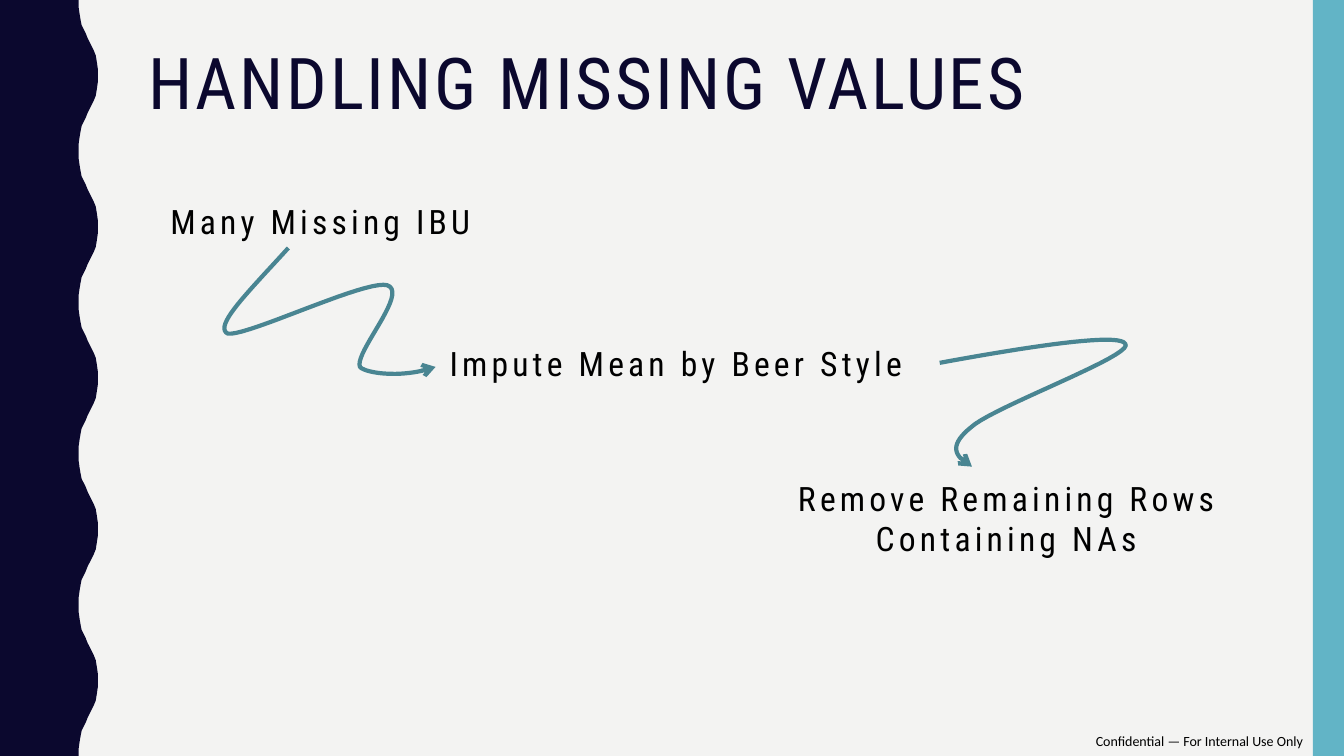
from lxml import etree
from pptx import Presentation
from pptx.dml.color import RGBColor
from pptx.enum.shapes import MSO_SHAPE
from pptx.enum.text import MSO_ANCHOR, MSO_AUTO_SIZE, PP_ALIGN
from pptx.oxml.ns import qn
from pptx.util import Inches, Pt

RECTANGLE = MSO_SHAPE.RECTANGLE
TOP = MSO_ANCHOR.TOP
FIT_SHAPE = MSO_AUTO_SIZE.SHAPE_TO_FIT_TEXT
LEFT, CENTER, RIGHT = PP_ALIGN.LEFT, PP_ALIGN.CENTER, PP_ALIGN.RIGHT

NAVY, SKY, TEAL, BLACK, PAPER = "0B082E", "62B4C6", "498592", "000000", "F3F3F2"
HEADING_FONT, NOTICE_FONT = "Roboto Condensed", "Calibri"


def color(hex_code):
    return RGBColor.from_string(hex_code)


def add_text(para, text, size, font, hex_code, spacing):
    span = para.add_run()
    span.text = text
    span.font.size = Pt(size)
    span.font.name = font
    span.font.color.rgb = color(hex_code)
    if spacing:
        span.font._element.set("spc", str(spacing * 100))


deck = Presentation()
deck.slide_width, deck.slide_height = Inches(13.33), Inches(7.5)
page = deck.slides.add_slide(deck.slide_layouts[5])
page.background.fill.solid()
page.background.fill.fore_color.rgb = color(PAPER)

# Wavy left border: one half wave, mirrored and repeated every 1.5 inches
half_wave = [(0.78, 0), (0.78, 0.07), (0.79, 0.14), (0.8, 0.2), (0.81, 0.25),
             (0.83, 0.29), (0.85, 0.33), (0.87, 0.38), (0.89, 0.42), (0.91, 0.46),
             (0.93, 0.5), (0.95, 0.55), (0.96, 0.61), (0.97, 0.68), (0.97, 0.75)]
full_wave = half_wave + [(x, 1.5 - y) for x, y in reversed(half_wave[:-1])]
edge = [(x, y + 1.5 * wave) for wave in range(5) for x, y in full_wave]
builder = page.shapes.build_freeform(0, 0)
builder.add_line_segments([(Inches(x), Inches(y)) for x, y in edge + [(0, 7.5)]])
border = builder.convert_to_shape()

# Right strip
strip = page.shapes.add_shape(RECTANGLE, Inches(13.02), 0, Inches(0.31), Inches(7.5))

for panel, fill in ((border, NAVY), (strip, SKY)):
    panel.shadow.inherit = False
    panel.fill.solid()
    panel.fill.fore_color.rgb = color(fill)
    panel.line.fill.background()

# Title
title = page.shapes.title
title.left, title.top = Inches(1.37), Inches(0.42)
title.width, title.height = Inches(11.13), Inches(1.63)
title.text_frame.vertical_anchor = TOP
title.text_frame.word_wrap = True
para = title.text_frame.paragraphs[0]
para.alignment = LEFT
para.line_spacing = 0.9
add_text(para, "HANDLING MISSING VALUES", 51, HEADING_FONT, NAVY, 2)

# Step labels and confidentiality notice
labels = [
    (1.59, 1.94, 3.29, 0.5, LEFT, 24, HEADING_FONT, 3, ["Many Missing IBU"]),
    (4.36, 3.35, 4.91, 0.5, LEFT, 24, HEADING_FONT, 3, ["Impute Mean by Beer Style"]),
    (7.71, 4.69, 4.54, 0.91, CENTER, 24, HEADING_FONT, 3,
     ["Remove Remaining Rows", "Containing NAs"]),
    (10.57, 7.22, 2.45, 0.28, RIGHT, 10, NOTICE_FONT, 0,
     ["Confidential — For Internal Use Only"]),
]
for left, top, width, height, align, size, font, spacing, lines in labels:
    box = page.shapes.add_textbox(Inches(left), Inches(top), Inches(width), Inches(height))
    frame = box.text_frame
    frame.word_wrap = False
    frame.auto_size = FIT_SHAPE
    for number, line in enumerate(lines):
        para = frame.add_paragraph() if number else frame.paragraphs[0]
        para.alignment = align
        add_text(para, line, size, font, BLACK, spacing)

# Curved arrows: a start point, then Bezier pieces (two controls and an end)
arrows = [
    ((2.86, 2.46), [((2.47, 2.89), (2.11, 3.24), (2.26, 3.31)),
                    ((2.45, 3.34), (3.63, 2.77), (3.84, 2.83)),
                    ((4.06, 2.9), (3.51, 3.5), (3.57, 3.64)),
                    ((3.62, 3.7), (3.98, 3.76), (4.32, 3.64))]),
    ((9.32, 3.6), [((10.19, 3.44), (11.1, 3.3), (11.16, 3.41)),
                   ((11.27, 3.52), (9.84, 4.04), (9.63, 4.24)),
                   ((9.37, 4.45), (9.51, 4.55), (9.64, 4.63))]),
]
STEPS = 20
for start, pieces in arrows:
    builder = page.shapes.build_freeform(Inches(start[0]), Inches(start[1]))
    points = []
    for control_a, control_b, end in pieces:
        for step in range(1, STEPS + 1):
            t = step / STEPS
            weights = ((1 - t) ** 3, 3 * t * (1 - t) ** 2, 3 * t * t * (1 - t), t ** 3)
            knots = (start, control_a, control_b, end)
            points.append([Inches(sum(w * knot[axis] for w, knot in zip(weights, knots)))
                           for axis in (0, 1)])
        start = end
    builder.add_line_segments(points, close=False)
    arrow = builder.convert_to_shape()
    arrow.shadow.inherit = False
    arrow.fill.background()
    arrow.line.color.rgb = color(TEAL)
    arrow.line.width = Pt(3)
    etree.SubElement(arrow.line._get_or_add_ln(), qn("a:tailEnd"), type="arrow")

deck.save("out.pptx")
